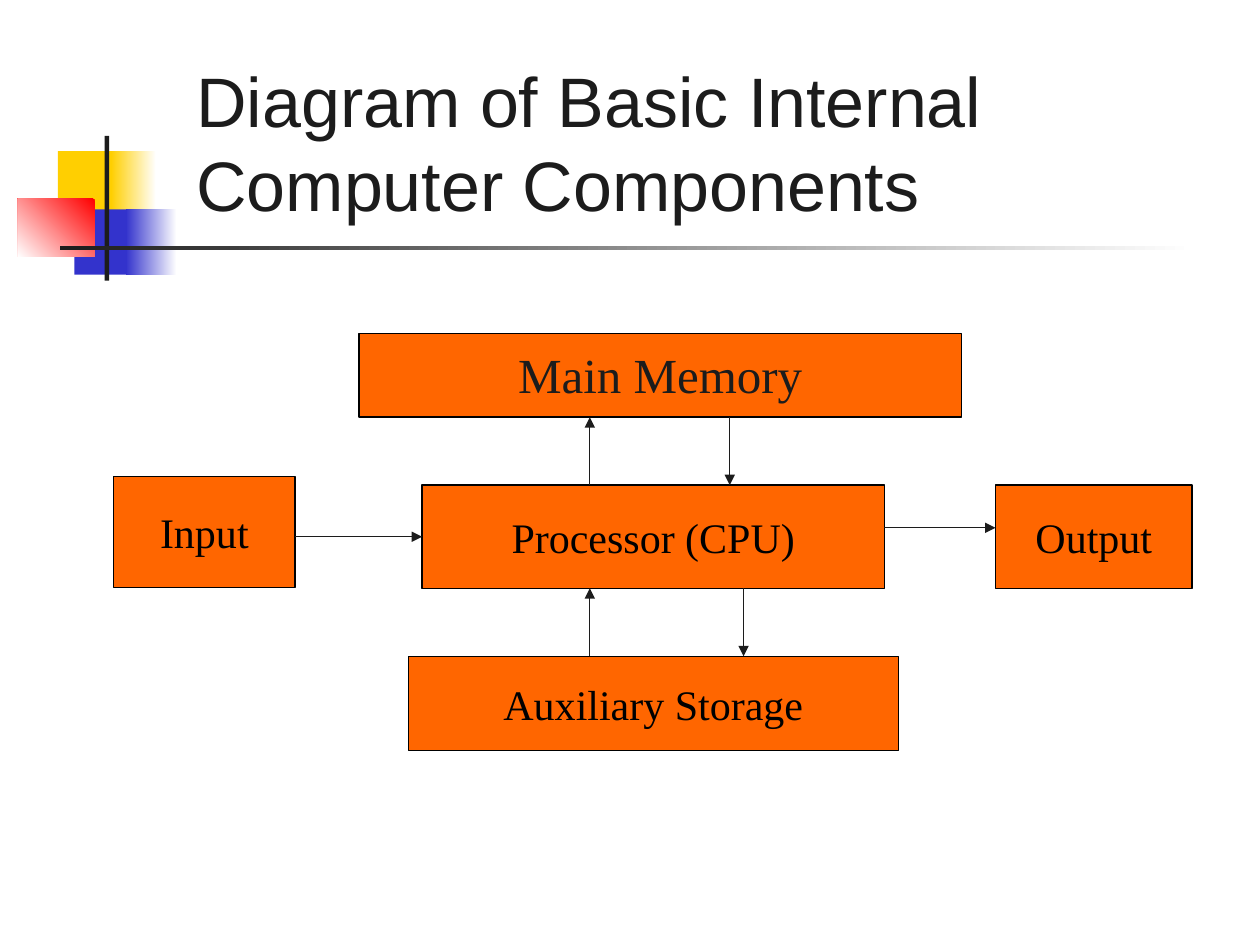
import dataclasses

import pptx
import pptx.dml.color
import pptx.enum.shapes
import pptx.enum.text
import pptx.oxml
import pptx.oxml.ns
import pptx.util

Cm = pptx.util.Cm
Pt = pptx.util.Pt
Anchor = pptx.enum.text.MSO_ANCHOR
Align = pptx.enum.text.PP_ALIGN


@dataclasses.dataclass(frozen=True)
class Theme:
    ink: str = "1C1C1C"
    black: str = "000000"
    white: str = "FFFFFF"
    orange: str = "FF6600"
    yellow: str = "FFCF01"
    blue: str = "3333CC"
    red: str = "FF0000"
    title_font: str = "Arial"
    label_font: str = "Times New Roman"
    title_size: int = 40
    memory_size: int = 28
    label_size: int = 24
    line_width: float = 0.75


THEME = Theme()


def rgb(value):
    return pptx.dml.color.RGBColor.from_string(value)


def add_rectangle(page, left, top, width, height, color):
    box = page.shapes.add_shape(
        pptx.enum.shapes.MSO_SHAPE.RECTANGLE, Cm(left), Cm(top), Cm(width), Cm(height))
    box.shadow.inherit = False
    box.fill.solid()
    box.fill.fore_color.rgb = rgb(color)
    box.line.fill.background()
    return box


def add_fade(page, left, top, width, height, start, end, angle):
    box = add_rectangle(page, left, top, width, height, start)
    box.fill.gradient()
    box.fill.gradient_angle = angle
    for stop, color in zip(box.fill.gradient_stops, (start, end)):
        stop.color.rgb = rgb(color)


def write_text(box, text, font, size, color, align, anchor):
    frame = box.text_frame
    frame.vertical_anchor = anchor
    para = frame.paragraphs[0]
    para.alignment = align
    span = para.add_run()
    span.text = text
    span.font.name = font
    span.font.size = Pt(size)
    span.font.color.rgb = rgb(color)
    return frame


def add_component(page, text, left, top, width, height,
                  size=THEME.label_size, color=THEME.black, anchor=Anchor.MIDDLE):
    box = add_rectangle(page, left, top, width, height, THEME.orange)
    box.line.color.rgb = rgb(THEME.black)
    box.line.width = Pt(THEME.line_width)
    frame = write_text(box, text, THEME.label_font, size, color, Align.CENTER, anchor)
    frame.word_wrap = False
    return box


def add_arrow(page, start_x, start_y, end_x, end_y):
    arrow = page.shapes.add_connector(
        pptx.enum.shapes.MSO_CONNECTOR.STRAIGHT, start_x, start_y, end_x, end_y)
    arrow.line.color.rgb = rgb(THEME.ink)
    arrow.line.width = Pt(THEME.line_width)
    head = pptx.oxml.parse_xml(
        f'<a:tailEnd {pptx.oxml.ns.nsdecls("a")} type="triangle"/>')
    arrow.line._get_or_add_ln().append(head)
    arrow._element.spPr.append(
        pptx.oxml.parse_xml(f'<a:effectLst {pptx.oxml.ns.nsdecls("a")}/>'))


def add_ornament(page):
    # Solid squares, each fading out to the right
    for color, left, fade_left, top, width, fade_width in (
            (THEME.yellow, 1.17, 2.24, 3.05, 1.22, 0.91),
            (THEME.blue, 1.5, 2.54, 4.22, 1.17, 1.02)):
        add_rectangle(page, left, top, width, 1.32, color)
        add_fade(page, fade_left, top, fade_width, 1.32, THEME.white, color, 180)
    add_fade(page, 0.36, 4.01, 1.55, 1.17, THEME.red, THEME.white, 225)
    # Crossing bars
    add_rectangle(page, 2.11, 2.74, 0.09, 2.92, THEME.ink)
    add_fade(page, 1.22, 4.95, 22.86, 0.09, THEME.white, THEME.ink, 180)


def add_title(page, text):
    box = page.shapes.add_textbox(Cm(3.71), Cm(1.07), Cm(19.79), Cm(3.61))
    frame = write_text(box, text, THEME.title_font, THEME.title_size, THEME.ink,
                       Align.LEFT, Anchor.BOTTOM)
    frame.word_wrap = True


def add_diagram(page):
    # Components
    processor = add_component(page, "Processor (CPU)", 8.51, 9.78, 9.32, 2.08)
    storage = add_component(page, "Auxiliary Storage", 8.23, 13.23, 9.88, 1.9)
    output = add_component(page, "Output", 20.07, 9.78, 3.96, 2.08)
    source = add_component(page, "Input", 2.29, 9.6, 3.66, 2.24)
    memory = add_component(page, "Main Memory", 7.24, 6.73, 12.14, 1.68,
                           THEME.memory_size, THEME.ink, Anchor.TOP)
    memory.text_frame.margin_top = Cm(0.22)

    # Vertical flows: up on the left, down on the right
    for upper, lower, down_x in ((memory, processor, 14.71), (processor, storage, 14.99)):
        upper_edge = upper.top + upper.height
        add_arrow(page, Cm(11.89), lower.top, Cm(11.89), upper_edge)
        add_arrow(page, Cm(down_x), upper_edge, Cm(down_x), lower.top)

    # Horizontal flows
    for giver, taker, y in ((source, processor, 10.82), (processor, output, 10.64)):
        add_arrow(page, giver.left + giver.width, Cm(y), taker.left, Cm(y))


def main():
    deck = pptx.Presentation()
    deck.slide_width, deck.slide_height = Cm(25.4), Cm(19.05)
    page = deck.slides.add_slide(deck.slide_layouts[6])
    add_ornament(page)
    add_diagram(page)
    add_title(page, "Diagram of Basic Internal Computer Components")
    deck.save("out.pptx")


if __name__ == "__main__":
    main()
